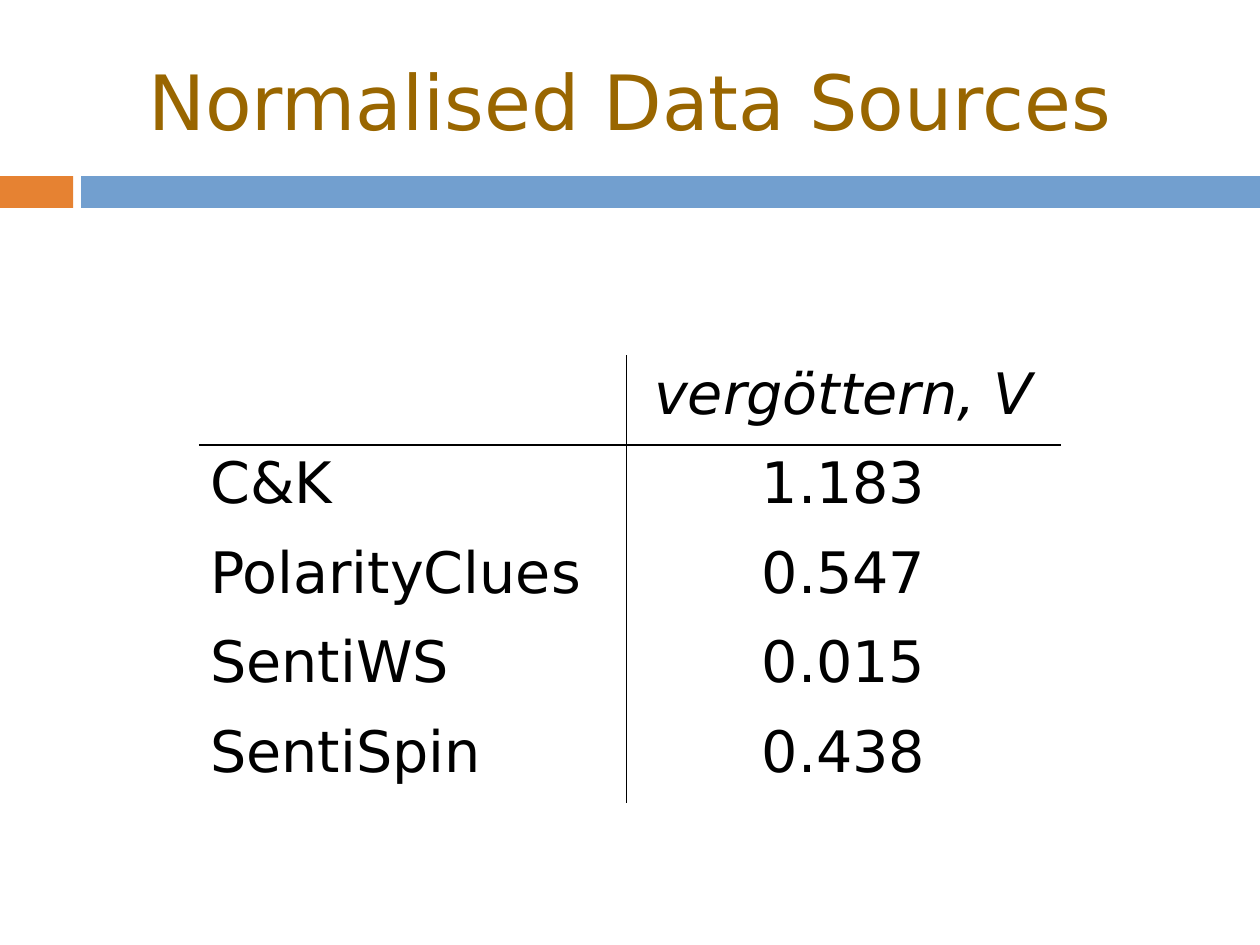
"""Build the slide of normalised data sources with its ruled score table."""
import pptx
import pptx.util
import pptx.dml.color
import pptx.enum.shapes
import pptx.enum.text
import pptx.oxml
import pptx.oxml.ns

TITLE = "Normalised Data Sources"
SCORES = [
    ("", "vergöttern, V"),
    ("C&K", "1.183"),
    ("PolarityClues", "0.547"),
    ("SentiWS", "0.015"),
    ("SentiSpin", "0.438"),
]

THEME = {
    "font": "DejaVu Sans",
    "title": "996600",
    "text": "000000",
    "paper": "FFFFFF",
    "accent": "E68232",
    "band": "729FCF",
    "title_size": 48,
    "table_size": 36,
    "rule": 1.15,
}

SLIDE_WIDTH, SLIDE_HEIGHT = pptx.util.Cm(28), pptx.util.Cm(21)
WIDTH = SLIDE_WIDTH.inches
TITLE_BOX = (0, 0.33, WIDTH, 1.09)
BAND_TOP, BAND_HEIGHT = 1.54, 0.28
ACCENT_WIDTH, BAND_LEFT = 0.64, 0.71
TABLE_LEFT, TABLE_TOP, TABLE_HEIGHT = 1.74, 3.11, 3.92
COLUMNS = (3.74, 3.8)
ROW_HEIGHT = TABLE_HEIGHT / len(SCORES)

ALIGN = pptx.enum.text.PP_ALIGN


def inches(*lengths):
    return [pptx.util.Inches(length) for length in lengths]


def colour(name):
    return pptx.dml.color.RGBColor.from_string(THEME[name])


def apply(target, formats):
    for key, value in formats.items():
        setattr(target, key, value)


def write(frame, text, size, ink, align, italic=False):
    paragraph = frame.paragraphs[0]
    paragraph.alignment = align
    run = paragraph.add_run()
    run.text = text
    apply(run.font, {"name": THEME["font"], "size": pptx.util.Pt(THEME[size]),
                     "italic": italic, "bold": False})
    run.font.color.rgb = colour(ink)


def add_title(slide):
    title = slide.shapes.title
    apply(title, dict(zip(("left", "top", "width", "height"), inches(*TITLE_BOX))))
    frame = title.text_frame
    apply(frame, {"margin_left": 0, "margin_top": 0, "margin_right": 0,
                  "margin_bottom": 0, "word_wrap": True,
                  "vertical_anchor": pptx.enum.text.MSO_ANCHOR.MIDDLE,
                  "auto_size": pptx.enum.text.MSO_AUTO_SIZE.NONE})
    write(frame, TITLE, "title_size", "title", ALIGN.CENTER)


def add_bands(slide):
    for left, width, fill in ((0, ACCENT_WIDTH, "accent"),
                              (BAND_LEFT, WIDTH - BAND_LEFT, "band")):
        band = slide.shapes.add_shape(pptx.enum.shapes.MSO_SHAPE.RECTANGLE,
                                      *inches(left, BAND_TOP, width, BAND_HEIGHT))
        band.shadow.inherit = False
        band.fill.solid()
        band.fill.fore_color.rgb = colour(fill)
        band.line.fill.background()


def rule_cell(cell, ruled_sides):
    properties = cell._tc.get_or_add_tcPr()
    for side in "LRTB":
        ruled = side in ruled_sides
        width = pptx.util.Pt(THEME["rule"]) if ruled else 0
        paint = (f'<a:solidFill><a:srgbClr val="{THEME["text"]}"/></a:solidFill>'
                 if ruled else "<a:noFill/>")
        properties.append(pptx.oxml.parse_xml(
            f'<a:ln{side} {pptx.oxml.ns.nsdecls("a")} w="{width}">{paint}</a:ln{side}>'))


def add_scores(slide):
    table = slide.shapes.add_table(
        len(SCORES), len(COLUMNS),
        *inches(TABLE_LEFT, TABLE_TOP, sum(COLUMNS), TABLE_HEIGHT)).table
    apply(table, {"first_row": False, "horz_banding": False})
    for column, width in zip(table.columns, COLUMNS):
        column.width = pptx.util.Inches(width)
    for row, texts in enumerate(SCORES):
        table.rows[row].height = pptx.util.Inches(ROW_HEIGHT)
        for column, text in enumerate(texts):
            cell = table.cell(row, column)
            rule_cell(cell, "RL"[column] + {0: "B", 1: "T"}.get(row, ""))
            cell.fill.solid()
            cell.fill.fore_color.rgb = colour("paper")
            if text:
                write(cell.text_frame, text, "table_size", "text",
                      (ALIGN.LEFT, ALIGN.CENTER)[column], italic=row == 0)


def main():
    deck = pptx.Presentation()
    apply(deck, {"slide_width": SLIDE_WIDTH, "slide_height": SLIDE_HEIGHT})
    slide = deck.slides.add_slide(deck.slide_layouts[5])
    add_bands(slide)
    add_title(slide)
    add_scores(slide)
    deck.save("out.pptx")


if __name__ == "__main__":
    main()
